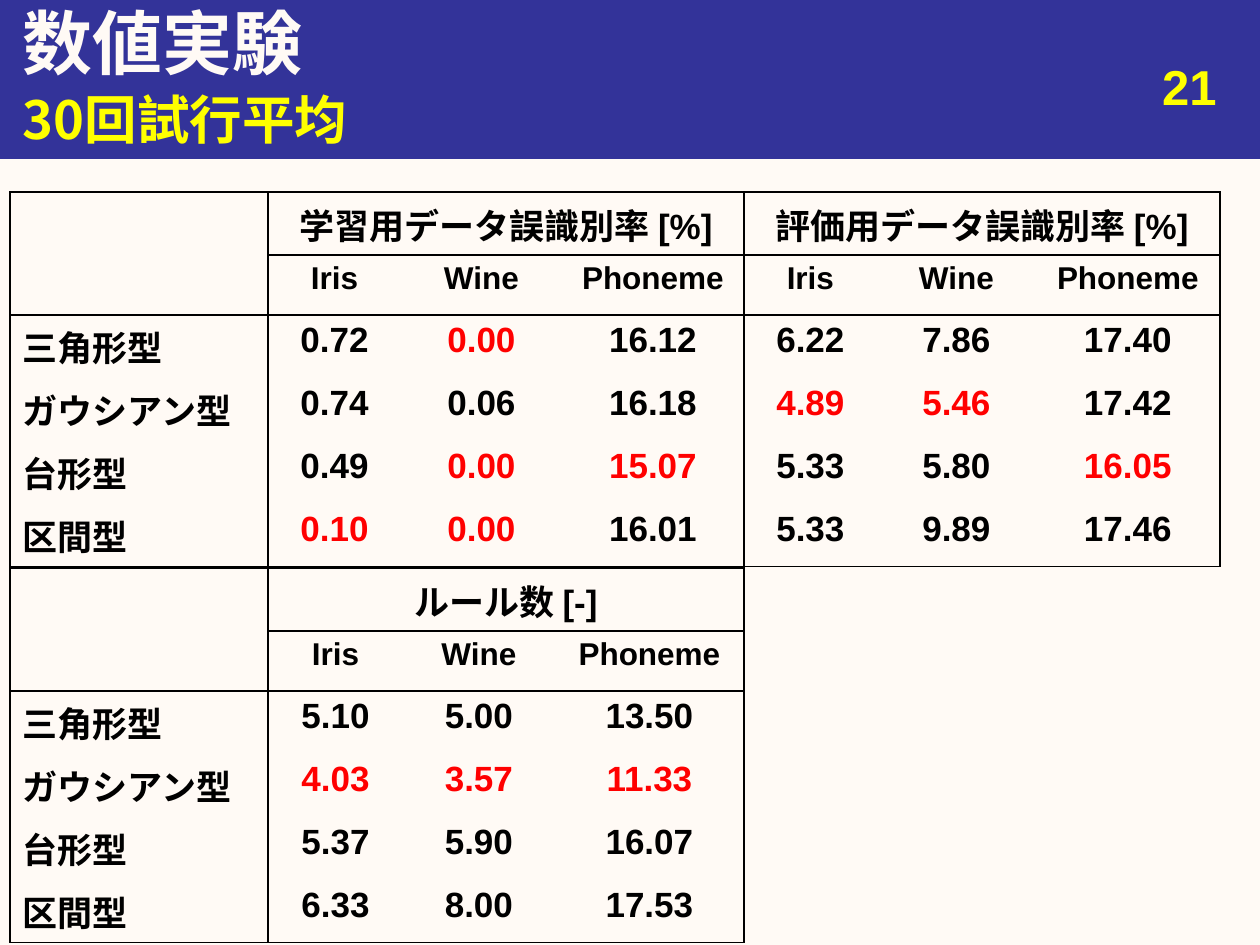
from dataclasses import dataclass

from lxml.etree import SubElement
from pptx import Presentation
from pptx.dml.color import RGBColor as Color
from pptx.enum.shapes import MSO_SHAPE as Preset
from pptx.enum.text import MSO_ANCHOR as Anchor, MSO_AUTO_SIZE as AutoSize, PP_ALIGN as Align
from pptx.oxml.ns import qn
from pptx.util import Pt

TITLE = "数値実験"
SUBTITLE = "30回試行平均"
PAGE_NUMBER = "21"
DATASETS = ["Iris", "Wine", "Phoneme"]
SHAPES = ["三角形型", "ガウシアン型", "台形型", "区間型"]

ERROR_RATES = {
    "place": (10, 192),
    "columns": [258, 133, 161, 182, 133, 159, 184],
    "groups": ["学習用データ誤識別率 [%]", "評価用データ誤識別率 [%]"],
    "values": [
        [0.72, 0.00, 16.12, 6.22, 7.86, 17.40],
        [0.74, 0.06, 16.18, 4.89, 5.46, 17.42],
        [0.49, 0.00, 15.07, 5.33, 5.80, 16.05],
        [0.10, 0.00, 16.01, 5.33, 9.89, 17.46],
    ],
}
RULE_COUNTS = {
    "place": (10, 568),
    "columns": [258, 135, 152, 189],
    "groups": ["ルール数 [-]"],
    "values": [
        [5.10, 5.00, 13.50],
        [4.03, 3.57, 11.33],
        [5.37, 5.90, 16.07],
        [6.33, 8.00, 17.53],
    ],
}
ROW_HEIGHTS = [63, 60, 63, 63, 63, 63]
PX = 914400 // 126


@dataclass(frozen=True)
class Theme:
    paper: str = "FFFAF5"
    band: str = "333399"
    accent: str = "FFFF00"
    ink: str = "000000"
    best: str = "FF0000"
    latin: str = "Arial"
    asian: str = "Noto Sans CJK JP"
    title: int = 40
    subtitle: int = 30
    number: int = 28
    cell: int = 20
    dataset: int = 18
    rule: int = 1


theme = Theme()


def paint(fill, color):
    fill.solid()
    fill.fore_color.rgb = Color.from_string(color)


def place(shape, *bounds):
    shape.left, shape.top, shape.width, shape.height = (value * PX for value in bounds)


def write(frame, text, size, color, align=Align.LEFT, face=theme.latin):
    frame.text = text
    para = frame.paragraphs[0]
    para.alignment = align
    font = para.font
    font.name, font.size, font.bold = face, Pt(size), True
    font.color.rgb = Color.from_string(color)
    defaults = para._p.pPr.find(qn("a:defRPr"))
    SubElement(defaults, qn("a:ea"), typeface=theme.asian)
    return para


def draw_borders(cell, sides):
    properties = cell._tc.get_or_add_tcPr()
    for side in "LRTB":
        line = SubElement(properties, qn(f"a:ln{side}"), w=str(Pt(theme.rule)))
        if side in sides:
            fill = SubElement(line, qn("a:solidFill"))
            SubElement(fill, qn("a:srgbClr"), val=theme.ink)
        else:
            SubElement(line, qn("a:noFill"))


def border_sides(row, column, last_row):
    if row == 0:
        return "LRTB"
    span = len(DATASETS)
    sides = "L" if column == 0 or column % span == 1 else ""
    sides += "R" if column % span == 0 else ""
    sides += "T" if row <= 2 else ""
    return sides + ("B" if row in (1, last_row) else "")


def build_table(page, data):
    widths, values = data["columns"], data["values"]
    left, top = data["place"]
    bounds = (left, top, sum(widths), sum(ROW_HEIGHTS))
    table = page.shapes.add_table(
        len(ROW_HEIGHTS), len(widths), *(value * PX for value in bounds)
    ).table
    table.first_row = table.horz_banding = False
    for column, width in zip(table.columns, widths):
        column.width = width * PX
    for row, height in zip(table.rows, ROW_HEIGHTS):
        row.height = height * PX

    for row in range(len(ROW_HEIGHTS)):
        for column in range(len(widths)):
            cell = table.cell(row, column)
            draw_borders(cell, border_sides(row, column, len(ROW_HEIGHTS) - 1))
            paint(cell.fill, theme.paper)

    table.cell(0, 0).merge(table.cell(1, 0))
    span = len(DATASETS)
    for index, group in enumerate(data["groups"]):
        first = 1 + index * span
        head = table.cell(0, first)
        head.merge(table.cell(0, first + span - 1))
        write(head.text_frame, group, theme.cell, theme.ink, Align.CENTER)
        for column, dataset in enumerate(DATASETS, first):
            write(table.cell(1, column).text_frame, dataset, theme.dataset, theme.ink, Align.CENTER)

    lowest = [min(column) for column in zip(*values)]
    for row, (shape, results) in enumerate(zip(SHAPES, values), 2):
        write(table.cell(row, 0).text_frame, shape, theme.cell, theme.ink)
        for column, (result, best) in enumerate(zip(results, lowest), 1):
            color = theme.best if result == best else theme.ink
            write(table.cell(row, column).text_frame, f"{result:.2f}", theme.cell, color, Align.CENTER)


def build_header(page):
    title, body = page.shapes.title, page.placeholders[1]
    band = page.shapes.add_shape(Preset.RECTANGLE, 0, 0, 1260 * PX, 158 * PX)
    band.shadow.inherit = False
    paint(band.fill, theme.band)
    paint(band.line.fill, theme.band)
    band.line.width = Pt(0.75)
    title.element.addprevious(band.element)

    place(title, 10, 0, 1250, 84)
    place(body, 10, 84, 1250, 69)
    for holder in (title, body):
        holder.text_frame.auto_size = AutoSize.NONE
        holder.text_frame.vertical_anchor = Anchor.MIDDLE
    write(title.text_frame, TITLE, theme.title, theme.paper)
    para = write(body.text_frame, SUBTITLE, theme.subtitle, theme.accent, face=theme.asian)
    properties = para._p.pPr
    properties.set("marL", "0")
    properties.set("indent", "0")
    properties.find(qn("a:defRPr")).addprevious(SubElement(properties, qn("a:buNone")))

    number = page.shapes.add_textbox(0, 0, 0, 0)
    place(number, 935, 45, 294, 66)
    number.text_frame.word_wrap = True
    number.text_frame.margin_top = 12 * PX
    write(number.text_frame, PAGE_NUMBER, theme.number, theme.accent, Align.RIGHT)


def main():
    deck = Presentation()
    deck.slide_width, deck.slide_height = 1260 * PX, 945 * PX
    page = deck.slides.add_slide(deck.slide_layouts[1])
    paint(page.background.fill, theme.paper)
    build_header(page)
    for data in (ERROR_RATES, RULE_COUNTS):
        build_table(page, data)
    deck.save("out.pptx")


if __name__ == "__main__":
    main()
